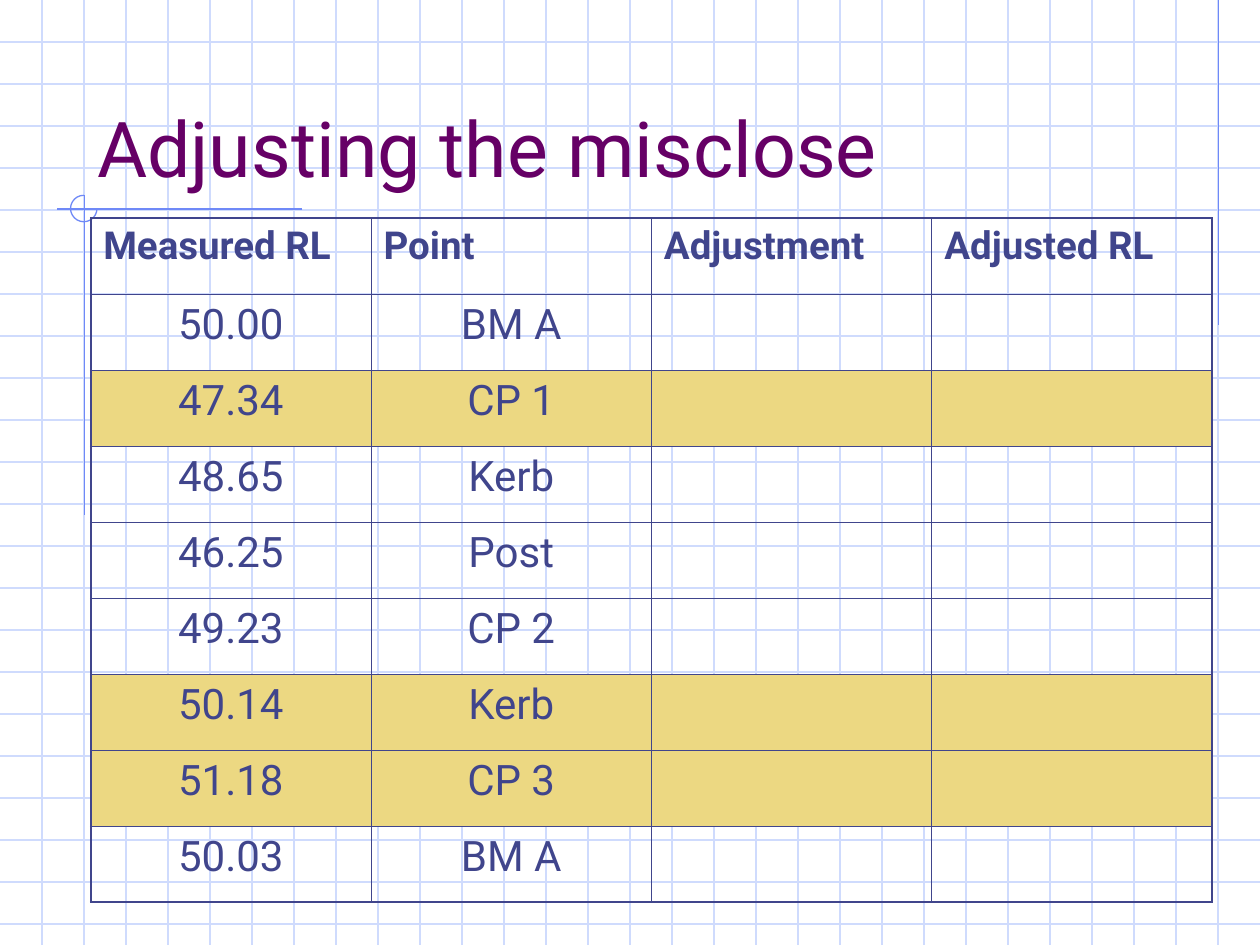
from lxml.etree import SubElement
from pptx import Presentation
from pptx.dml.color import RGBColor
from pptx.enum.shapes import MSO_CONNECTOR, MSO_SHAPE
from pptx.enum.text import MSO_ANCHOR, MSO_AUTO_SIZE, PP_ALIGN
from pptx.oxml.ns import qn
from pptx.util import Inches, Pt

COLORS = {
    "grid": "CFDBFD",
    "accent": "6F89F7",
    "title": "660066",
    "ink": "40458C",
    "highlight": "ECD882",
}
FONT = "Roboto"
WIDTH, HEIGHT, STEP = 10, 7.5, 1 / 3

prs = Presentation()
prs.slide_width, prs.slide_height = Inches(WIDTH), Inches(HEIGHT)
s = prs.slides.add_slide(prs.slide_layouts[5])


def add_line(x1, y1, x2, y2, color):
    line = s.shapes.add_connector(
        MSO_CONNECTOR.STRAIGHT, Inches(x1), Inches(y1), Inches(x2), Inches(y2))
    line.line.color.rgb = RGBColor.from_string(COLORS[color])
    line.line.width = Pt(0.75)
    SubElement(line._element.spPr, qn("a:effectLst"))


def format_font(font, size, color, bold=False):
    values = {"name": FONT, "size": Pt(size), "bold": bold}
    for name, value in values.items():
        setattr(font, name, value)
    font.color.rgb = RGBColor.from_string(COLORS[color])


# Graph paper background
for i in range(1, 23):
    add_line(0, i * STEP, WIDTH, i * STEP, "grid")
for i in range(1, 30):
    add_line(i * STEP, 0, i * STEP, HEIGHT, "grid")

# Accent lines and the open circle where two of them cross
add_line(9.67, 0, 9.67, 2.58, "accent")
add_line(2.4, 1.66, 0.45, 1.66, "accent")
add_line(0.67, 1.55, 0.67, 4.09, "accent")
arc = s.shapes.add_shape(
    MSO_SHAPE.ARC, Inches(0.56), Inches(1.55), Inches(0.21), Inches(0.21))
arc.adjustments[0], arc.adjustments[1] = 0, 162
arc.shadow.inherit = False
arc.fill.background()
arc.line.color.rgb = RGBColor.from_string(COLORS["accent"])
arc.line.width = Pt(0.75)

# Title, brought in front of the grid
title = s.shapes.title
title.left, title.top = Inches(0.67), Inches(0.33)
title.width, title.height = Inches(8.5), Inches(1.25)
s.shapes._spTree.append(title._element)
tf = title.text_frame
tf.text = "Adjusting the misclose"
tf.vertical_anchor = MSO_ANCHOR.BOTTOM
tf.auto_size = MSO_AUTO_SIZE.NONE
p = tf.paragraphs[0]
p.alignment = PP_ALIGN.LEFT
format_font(p.runs[0].font, 44, "title")

# Levelling table
ROWS = [
    ("Measured RL", "Point", "Adjustment", "Adjusted RL"),
    ("50.00", "BM A", "", ""),
    ("47.34", "CP 1", "", ""),
    ("48.65", "Kerb", "", ""),
    ("46.25", "Post", "", ""),
    ("49.23", "CP 2", "", ""),
    ("50.14", "Kerb", "", ""),
    ("51.18", "CP 3", "", ""),
    ("50.03", "BM A", "", ""),
]
HIGHLIGHTED = {2, 6, 7}
last_row, last_col = len(ROWS) - 1, len(ROWS[0]) - 1

table = s.shapes.add_table(
    len(ROWS), len(ROWS[0]),
    Inches(0.72), Inches(1.73), Inches(8.9), Inches(5.43)).table
table.first_row = table.horz_banding = False

for r, row in enumerate(ROWS):
    for c, text in enumerate(row):
        cell = table.cell(r, c)
        header = r == 0
        p = cell.text_frame.paragraphs[0]
        p.alignment = PP_ALIGN.LEFT if header else PP_ALIGN.CENTER
        if text:
            run = p.add_run()
            run.text = text
            format_font(run.font, 22 if header else 24, "ink", header)

        outer_edges = {"lnL": c == 0, "lnR": c == last_col,
                       "lnT": r == 0, "lnB": r == last_row}
        tc_pr = cell._tc.get_or_add_tcPr()
        for tag, outer in outer_edges.items():
            border = SubElement(tc_pr, qn(f"a:{tag}"),
                                w=str(Pt(1.08 if outer else 0.45)))
            fill = SubElement(border, qn("a:solidFill"))
            SubElement(fill, qn("a:srgbClr"), val=COLORS["ink"])

        if r in HIGHLIGHTED:
            cell.fill.solid()
            cell.fill.fore_color.rgb = RGBColor.from_string(COLORS["highlight"])
        else:
            cell.fill.background()

prs.save("out.pptx")
